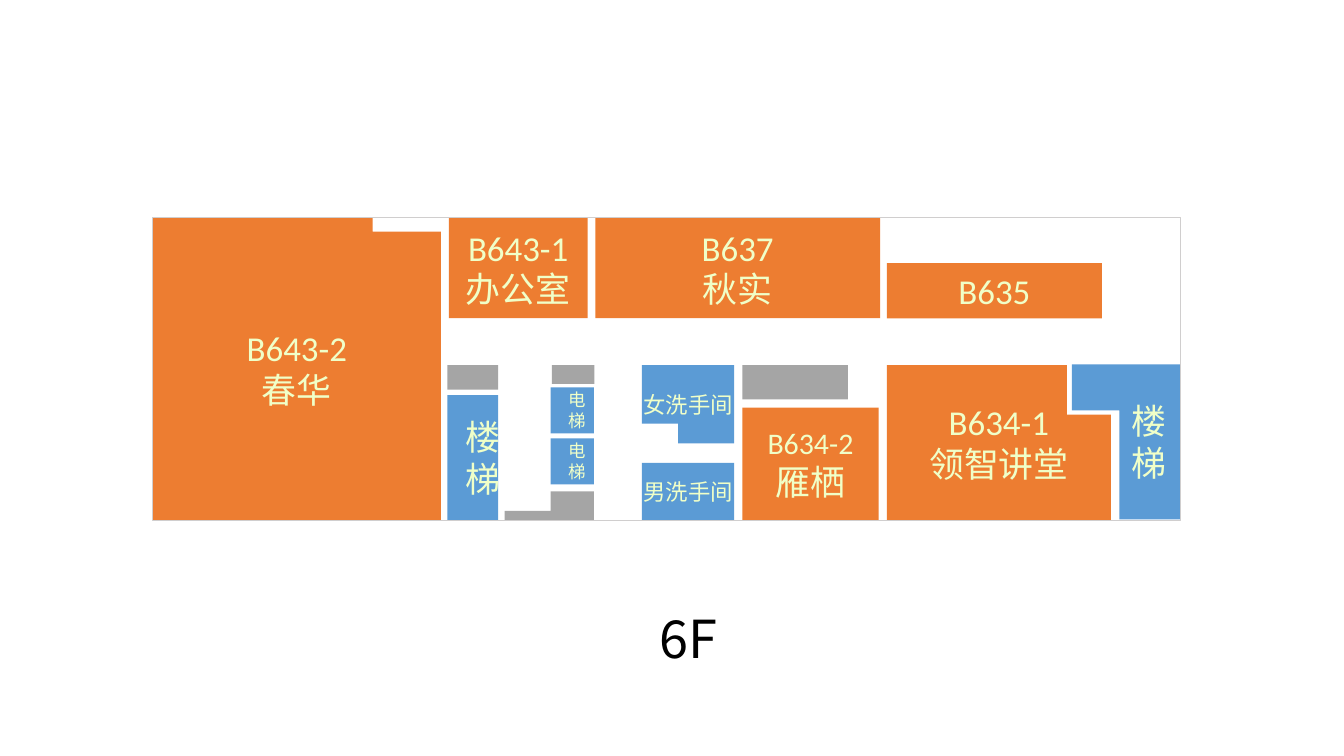
from pptx import Presentation
from pptx.dml.color import RGBColor
from pptx.enum import shapes, text
from pptx.oxml import ns
from pptx.util import Pt
from lxml import etree

COLORS = {
    "room": "ED7D31",
    "service": "5B9BD5",
    "shaft": "A5A5A5",
    "label": "F0FFC8",
    "border": "D0CECE",
    "title": "000000",
}
LABEL_FONT = "Calibri"
TITLE_FONT = "Noto Sans CJK SC"
CENTER = text.PP_ALIGN.CENTER

# Shared edges of the floor plan, in points
WEST, EAST = 157.7, 1217.5
NORTH, SOUTH = 224.6, 536.4
CORRIDOR_NORTH, CORRIDOR_SOUTH = 328.3, 376.6


def rgb(name):
    return RGBColor.from_string(COLORS[name])


def add_run(paragraph, words, size, font, color):
    run = paragraph.add_run()
    run.text = words
    run.font.size = Pt(size)
    run.font.name = font
    run.font.color.rgb = rgb(color)
    east_asian = etree.SubElement(run._r.get_or_add_rPr(), ns.qn("a:ea"))
    east_asian.set("typeface", font)


def add_label(shape, lines, sides, align):
    """Write (words, size) lines in the middle of a shape."""
    frame = shape.text_frame
    frame.word_wrap = True
    frame.vertical_anchor = text.MSO_ANCHOR.MIDDLE
    frame.margin_left, frame.margin_right = Pt(sides[0]), Pt(sides[1])
    frame.margin_top = frame.margin_bottom = Pt(9.4)
    for index, (words, size) in enumerate(lines):
        paragraph = frame.add_paragraph() if index else frame.paragraphs[0]
        paragraph.alignment = align
        add_run(paragraph, words, size, LABEL_FONT, "label")


def finish_area(shape, color, lines, sides, align):
    shape.shadow.inherit = False
    shape.fill.solid()
    shape.fill.fore_color.rgb = rgb(color)
    shape.line.fill.background()
    add_label(shape, lines, sides, align)


def add_rectangle(plan, left, top, right, bottom):
    return plan.shapes.add_shape(
        shapes.MSO_SHAPE.RECTANGLE,
        Pt(left), Pt(top), Pt(right - left), Pt(bottom - top))


def add_area(plan, edges, color, lines=(), sides=(18.7, 18.7)):
    finish_area(add_rectangle(plan, *edges), color, lines, sides, CENTER)


def add_outline_area(plan, corners, color, lines=(), sides=(18.7, 18.7),
                     align=CENTER):
    points = [(Pt(x), Pt(y)) for x, y in corners]
    builder = plan.shapes.build_freeform(*points[0])
    builder.add_line_segments(points[1:], close=True)
    finish_area(builder.convert_to_shape(), color, lines, sides, align)


def add_border(plan):
    border = add_rectangle(plan, WEST, NORTH, EAST + 0.8, SOUTH + 0.7)
    border.shadow.inherit = False
    border.fill.background()
    border.line.color.rgb = rgb("border")
    border.line.width = Pt(1)


def add_floor_title(slide, words):
    box = slide.shapes.add_textbox(Pt(588.2), Pt(622.1), Pt(243.4), Pt(72.7))
    frame = box.text_frame
    frame.word_wrap = True
    frame.auto_size = text.MSO_AUTO_SIZE.SHAPE_TO_FIT_TEXT
    paragraph = frame.paragraphs[0]
    paragraph.alignment = CENTER
    add_run(paragraph, words, 54, TITLE_FONT, "title")


def add_rooms(plan):
    add_outline_area(
        plan,
        [(WEST, NORTH), (384.5, NORTH), (384.5, 239), (455, 239),
         (455, SOUTH), (WEST, SOUTH)],
        "room", [("B643-2", 36), ("春华", 36)])
    add_area(plan, (463, NORTH, 606.3, CORRIDOR_NORTH), "room",
             [("B643-1", 36), ("办公室", 36)], (14.4, 14.4))
    add_area(plan, (614.2, NORTH, 908, CORRIDOR_NORTH), "room",
             [("B637", 36), ("秋实", 36)])
    add_area(plan, (915.1, 271.4, 1136.9, CORRIDOR_NORTH), "room",
             [("B635", 36)])
    add_area(plan, (766.1, 420.5, 906.5, SOUTH), "room",
             [("B634-2", 30.8), ("雁栖", 36)])
    add_outline_area(
        plan,
        [(915.1, CORRIDOR_SOUTH), (1100.9, CORRIDOR_SOUTH), (1100.9, 427.7),
         (1146.2, 427.7), (1146.2, SOUTH), (915.1, SOUTH)],
        "room", [("B634-1", 36), ("领智讲堂", 36)])


def add_services(plan):
    # Washrooms
    add_outline_area(
        plan,
        [(662.4, CORRIDOR_SOUTH), (757.4, CORRIDOR_SOUTH), (757.4, 457.2),
         (699.8, 457.2), (699.8, 437), (662.4, 437)],
        "service", [("女洗手间", 23.1)], (0, 0))
    add_area(plan, (662.4, 477.4, 757.4, SOUTH), "service",
             [("男洗手间", 23.1)], (0, 0))
    # Stairs
    add_outline_area(
        plan,
        [(1105.9, 375.8), (EAST, 375.8), (EAST, 535.7), (1154.9, 535.7),
         (1154.9, 423.4), (1105.9, 423.4)],
        "service", [("楼", 36), ("梯", 36)], (18.7, 14.4),
        text.PP_ALIGN.RIGHT)
    add_area(plan, (461.5, 407.5, 514.1, SOUTH), "service", [("楼梯", 36)])
    # Lifts
    for top in (399.6, 452.2):
        add_area(plan, (568.1, top, 612.7, top + 47.5), "service",
                 [("电梯", 18)])


def add_shafts(plan):
    add_outline_area(
        plan,
        [(568.1, 506.9), (612.7, 506.9), (612.7, SOUTH), (520.6, SOUTH),
         (520.6, 527), (568.1, 527)],
        "shaft")
    for left, right, bottom in ((766.1, 874.8, 411.9), (461.5, 514.1, 401.8),
                                (569.5, 613.4, 396)):
        add_area(plan, (left, CORRIDOR_SOUTH, right, bottom), "shaft")


def main():
    presentation = Presentation()
    presentation.slide_width = Pt(1386.72)
    presentation.slide_height = Pt(779.76)
    slide = presentation.slides.add_slide(presentation.slide_layouts[6])

    # Floor plan
    plan = slide.shapes.add_group_shape()
    add_rooms(plan)
    add_services(plan)
    add_shafts(plan)
    add_border(plan)

    # Floor number
    add_floor_title(slide, "6F")
    presentation.save("out.pptx")


if __name__ == "__main__":
    main()
